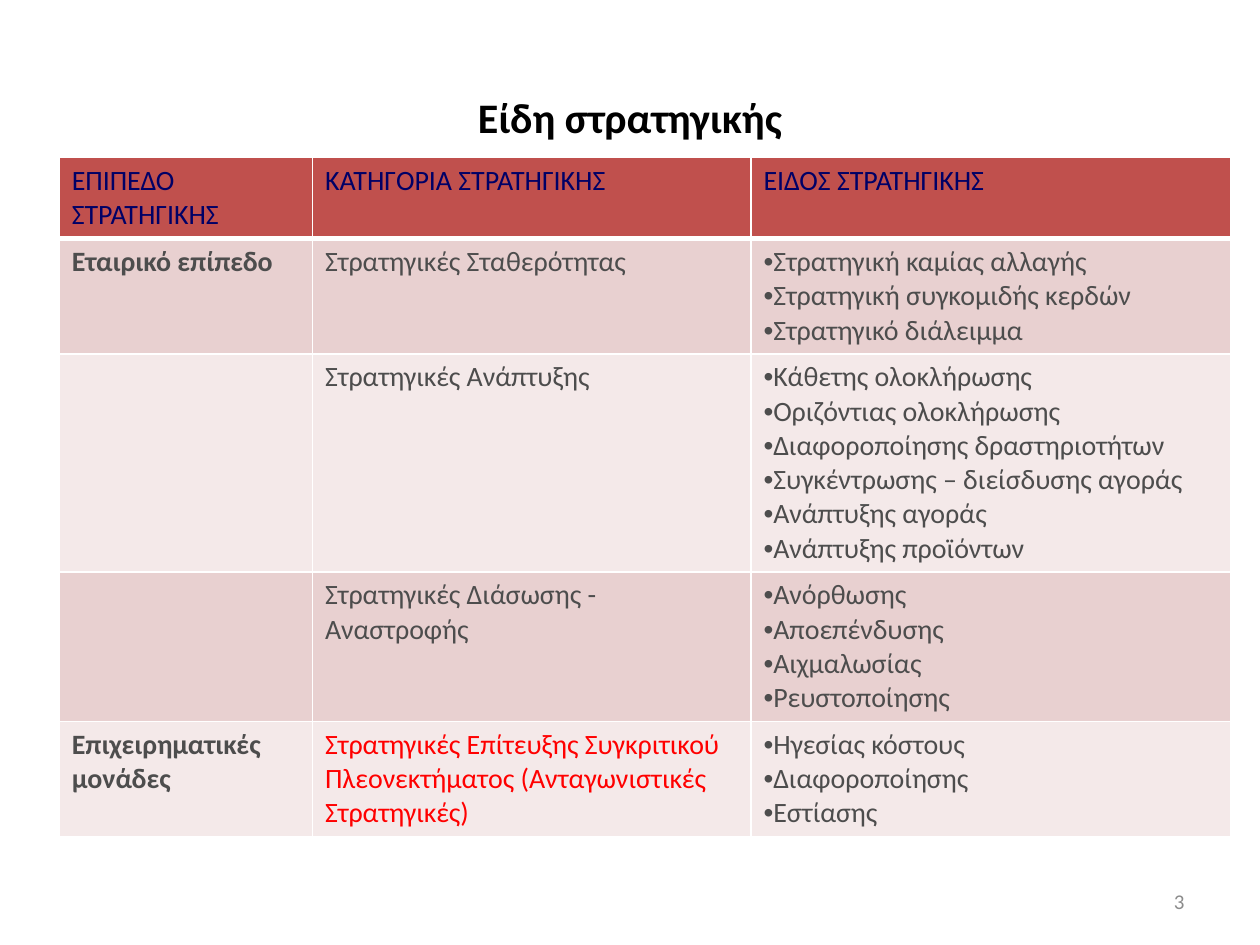
from lxml import etree
from pptx import Presentation
from pptx import util as u
from pptx.dml.color import RGBColor
from pptx.enum import text
from pptx.oxml.ns import qn

BLACK = RGBColor(0, 0, 0)
WHITE = RGBColor(0xFF, 0xFF, 0xFF)
NAVY = RGBColor(0, 0, 0x66)
GRAY = RGBColor(0x4D, 0x4D, 0x4D)
PALE = RGBColor(0x8C, 0x8C, 0x8C)
RED = RGBColor(0xFF, 0, 0)
BRICK = RGBColor(0xC0, 0x50, 0x4D)
BANDS = [RGBColor(0xE8, 0xD0, 0xD0), RGBColor(0xF4, 0xE9, 0xE9)]

HEADS = ["ΕΠΙΠΕΔΟ ΣΤΡΑΤΗΓΙΚΗΣ", "ΚΑΤΗΓΟΡΙΑ ΣΤΡΑΤΗΓΙΚΗΣ", "ΕΙΔΟΣ ΣΤΡΑΤΗΓΙΚΗΣ"]
# Level, category, category colour, kinds
ROWS = [
    ("Εταιρικό επίπεδο", "Στρατηγικές Σταθερότητας", GRAY,
     ["Στρατηγική καμίας αλλαγής", "Στρατηγική συγκομιδής κερδών",
      "Στρατηγικό διάλειμμα"]),
    ("", "Στρατηγικές Ανάπτυξης", GRAY,
     ["Κάθετης ολοκλήρωσης", "Οριζόντιας ολοκλήρωσης",
      "Διαφοροποίησης δραστηριοτήτων", "Συγκέντρωσης – διείσδυσης αγοράς",
      "Ανάπτυξης αγοράς", "Ανάπτυξης προϊόντων"]),
    ("", "Στρατηγικές Διάσωσης - Αναστροφής", GRAY,
     ["Ανόρθωσης", "Αποεπένδυσης", "Αιχμαλωσίας", "Ρευστοποίησης"]),
    ("Επιχειρηματικές μονάδες",
     "Στρατηγικές Επίτευξης Συγκριτικού Πλεονεκτήματος "
     "(Ανταγωνιστικές Στρατηγικές)", RED,
     ["Ηγεσίας κόστους", "Διαφοροποίησης", "Εστίασης"]),
]
WIDTHS = [2.01, 3.48, 3.81]
HEIGHTS = [0.6, 0.78, 1.45, 1.01, 0.78]


def write(frame, lines, size=16, color=GRAY, bold=False, align=None, dots=False):
    """Fill a text frame, one paragraph for each line."""
    for i, line in enumerate(lines):
        par = frame.paragraphs[0] if i == 0 else frame.add_paragraph()
        if dots:
            props = par._p.get_or_add_pPr()
            props.set("marL", "0")
            props.set("indent", "0")
            etree.SubElement(props, qn("a:buFont"), typeface="Arial")
            etree.SubElement(props, qn("a:buChar"), char="•")
        if align is not None:
            par.alignment = align
        font = par.font
        if line:
            run = par.add_run()
            run.text = line
            font = run.font
        font.name = "Calibri"
        font.size = u.Pt(size)
        font.bold = bold
        font.color.rgb = color


def edge(cell, side, width):
    """Draw one border of a table cell."""
    props = cell._tc.get_or_add_tcPr()
    line = etree.SubElement(props, qn("a:ln" + side), w=str(u.Pt(width)))
    fill = etree.SubElement(line, qn("a:solidFill"))
    etree.SubElement(fill, qn("a:srgbClr"), val=str(WHITE))


class Deck:
    """Holds the style and the current slide."""

    def __init__(self):
        self.prs = Presentation()
        self.prs.slide_width = u.Inches(10)
        self.prs.slide_height = u.Inches(7.5)
        self.slide = self.prs.slides.add_slide(self.prs.slide_layouts[5])

    def place(self, shape, box):
        shape.left, shape.top, shape.width, shape.height = map(u.Inches, box)
        frame = shape.text_frame
        frame.word_wrap = True
        frame.vertical_anchor = text.MSO_ANCHOR.MIDDLE
        return frame

    def title(self, line, box):
        frame = self.place(self.slide.shapes.title, box)
        write(frame, [line], size=24, color=BLACK, bold=True,
              align=text.PP_ALIGN.CENTER)

    def label(self, line, box, **form):
        shape = self.slide.shapes.add_textbox(*map(u.Inches, box))
        write(self.place(shape, box), [line], **form)

    def cell(self, cell, lines, fill, base=1, **form):
        for side, width in zip("LRTB", (1, 1, 1, base)):
            edge(cell, side, width)
        cell.fill.solid()
        cell.fill.fore_color.rgb = fill
        write(cell.text_frame, lines, **form)

    def table(self, left, top):
        shape = self.slide.shapes.add_table(
            len(HEIGHTS), len(WIDTHS), u.Inches(left), u.Inches(top),
            u.Inches(sum(WIDTHS)), u.Inches(sum(HEIGHTS)))
        grid = shape.table
        grid.first_row = grid.horz_banding = False
        for col, width in zip(grid.columns, WIDTHS):
            col.width = u.Inches(width)
        for row, height in zip(grid.rows, HEIGHTS):
            row.height = u.Inches(height)
        # Header row
        for c, head in enumerate(HEADS):
            self.cell(grid.cell(0, c), [head], BRICK, base=3, color=NAVY)
        # Body rows in two bands
        for r, (level, group, color, kinds) in enumerate(ROWS, 1):
            band = BANDS[(r - 1) % 2]
            self.cell(grid.cell(r, 0), [level], band, bold=True)
            self.cell(grid.cell(r, 1), [group], band, color=color)
            self.cell(grid.cell(r, 2), kinds, band, dots=True)


def main():
    deck = Deck()
    deck.title("Είδη στρατηγικής", (0.5, 0.3, 9, 1.25))
    deck.table(0.47, 1.25)
    # Page number
    deck.label("3", (7.17, 6.95, 2.33, 0.4), size=12, color=PALE,
               align=text.PP_ALIGN.RIGHT)
    deck.prs.save("out.pptx")


if __name__ == "__main__":
    main()
